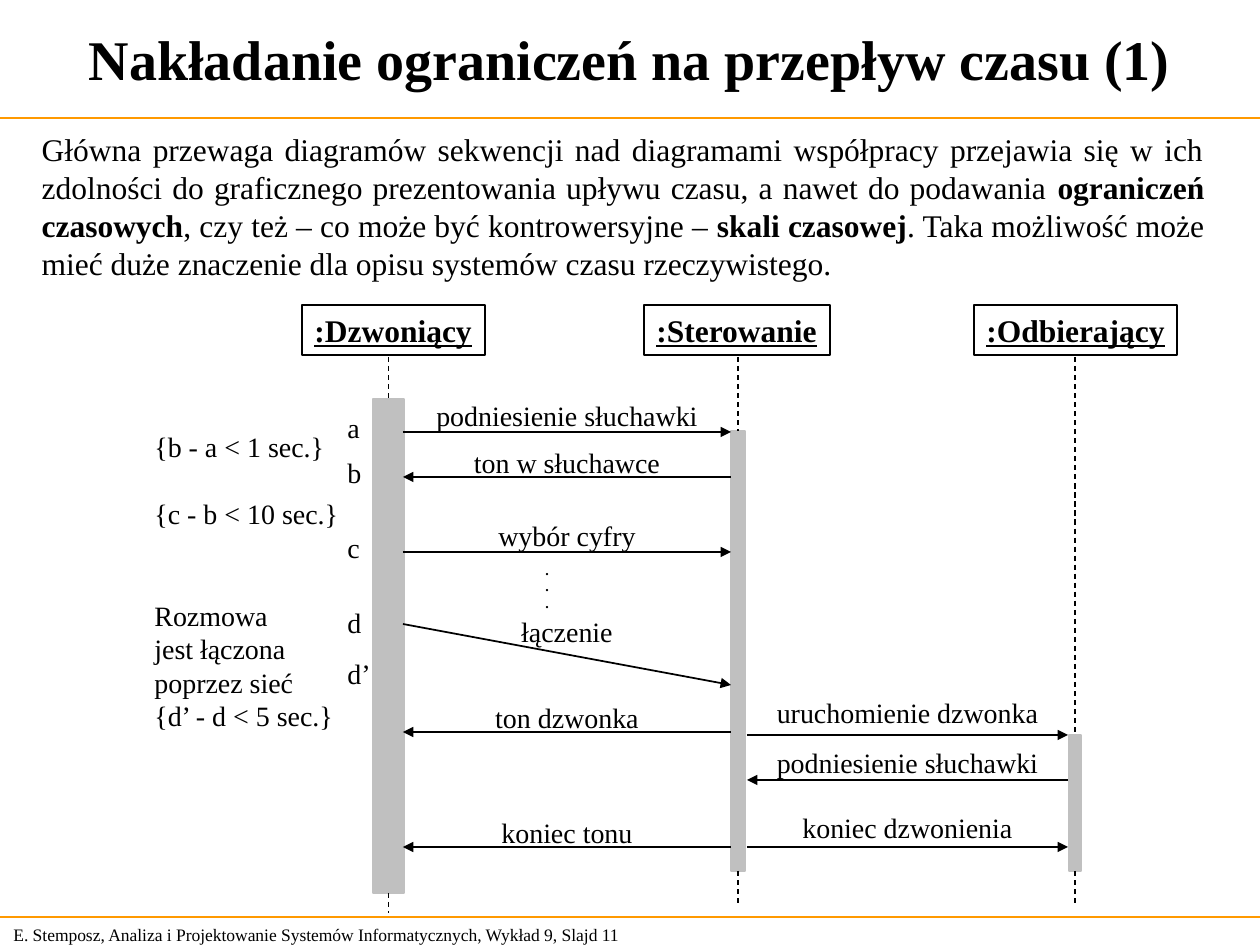
from lxml import etree
from pptx import Presentation
from pptx.dml.color import RGBColor
from pptx.enum.dml import MSO_LINE
from pptx.enum.shapes import MSO_CONNECTOR, MSO_SHAPE
from pptx.enum.text import MSO_ANCHOR, MSO_AUTO_SIZE, PP_ALIGN
from pptx.oxml.ns import qn
from pptx.util import Emu, Pt

STRAIGHT, RECTANGLE, DASH = MSO_CONNECTOR.STRAIGHT, MSO_SHAPE.RECTANGLE, MSO_LINE.DASH
LEFT, CENTER, JUSTIFY = PP_ALIGN.LEFT, PP_ALIGN.CENTER, PP_ALIGN.JUSTIFY
TOP, MIDDLE = MSO_ANCHOR.TOP, MSO_ANCHOR.MIDDLE
FONT = "Times New Roman"
COLORS = {"ink": "000000", "bar": "C0C0C0", "rule": "FF9900"}
EMU_PER_PX = 914400 / 126
PAGE_WIDTH, PAGE_HEIGHT = 1260, 945
LINE_HEIGHT = 47

TITLE = "Nakładanie ograniczeń na przepływ czasu (1)"
# (text, bold)
INTRO = [
    ("Główna przewaga diagramów sekwencji nad diagramami współpracy przejawia się w ich "
     "zdolności do graficznego prezentowania upływu czasu, a nawet do podawania ", False),
    ("ograniczeń czasowych", True),
    (", czy też – co może być kontrowersyjne – ", False),
    ("skali czasowej", True),
    (". Taka możliwość może mieć duże znaczenie dla opisu systemów czasu rzeczywistego.", False),
]
FOOTER = "E. Stemposz, Analiza i Projektowanie Systemów Informatycznych, Wykład 9, Slajd 11"
RULES = [118, 917]

HEADER_TOP, HEADER_HEIGHT = 305, 50
# name, header left and width, bar left, top, width and height, end of lifeline
PARTICIPANTS = [
    (":Dzwoniący", 302, 183, 373, 399, 31, 494, 913),
    (":Sterowanie", 644, 186, 731, 431, 14, 440, 903),
    (":Odbierający", 974, 203, 1069, 735, 12, 136, 903),
]
CALLER, CONTROL = 403, 731
CONTROL_RIGHT, RECEIVER = 747, 1068
# text, text top, start x, end x, start y, end y
MESSAGES = [
    ("podniesienie słuchawki", 392, CALLER, CONTROL, 432, 432),
    ("ton w słuchawce", 439, CONTROL, CALLER, 477, 477),
    ("wybór cyfry", 512, CALLER, CONTROL, 552, 552),
    ("łączenie", 608, CALLER, CONTROL, 624, 685),
    ("ton dzwonka", 694, CONTROL, CALLER, 732, 732),
    ("uruchomienie dzwonka", 689, CONTROL_RIGHT, RECEIVER, 735, 735),
    ("podniesienie słuchawki", 739, RECEIVER, CONTROL_RIGHT, 780, 780),
    ("koniec tonu", 809, CONTROL, CALLER, 847, 847),
    ("koniec dzwonienia", 804, CONTROL_RIGHT, RECEIVER, 847, 847),
]
MOMENTS = [("a", 404), ("b", 449), ("c", 524), ("d", 599), ("d’", 650)]
CONSTRAINTS = [
    (["{b - a < 1 sec.}"], 423),
    (["{c - b < 10 sec.}"], 490),
    (["Rozmowa", "jest łączona", "poprzez sieć", "{d’ - d < 5 sec.}"], 592),
]


def px(value):
    return Emu(round(value * EMU_PER_PX))


def color(name):
    return RGBColor.from_string(COLORS[name])


def place(shape, left, top, width, height):
    shape.left, shape.top, shape.width, shape.height = map(px, (left, top, width, height))


def style(paragraph, size, bold=False, align=LEFT):
    paragraph.alignment = align
    paragraph.space_before = Pt(0)
    font = paragraph.font
    font.name, font.size, font.bold = FONT, Pt(size), bold
    font.color.rgb = color("ink")


def write(shape, lines, size, bold=False, align=LEFT, anchor=TOP, wrap=False):
    frame = shape.text_frame
    frame.auto_size = MSO_AUTO_SIZE.NONE
    frame.word_wrap, frame.vertical_anchor = wrap, anchor
    for index, line in enumerate(lines):
        paragraph = frame.add_paragraph() if index else frame.paragraphs[0]
        paragraph.text = line
        style(paragraph, size, bold, align)


def add_text(page, area, lines, size, **options):
    box = page.shapes.add_textbox(*map(px, area))
    write(box, lines, size, **options)


def add_line(page, start, end, name="ink", width=0.75, dashed=False, arrow=False):
    line = page.shapes.add_connector(STRAIGHT, *map(px, start + end))
    line.line.color.rgb, line.line.width = color(name), Pt(width)
    if dashed:
        line.line.dash_style = DASH
    if arrow:
        etree.SubElement(line.line._get_or_add_ln(), qn("a:tailEnd"), type="triangle")
    etree.SubElement(line._element.spPr, qn("a:effectLst"))


def add_rectangle(page, area, line, fill=None):
    shape = page.shapes.add_shape(RECTANGLE, *map(px, area))
    shape.shadow.inherit = False
    shape.line.color.rgb, shape.line.width = color(line), Pt(1)
    if fill:
        shape.fill.solid()
        shape.fill.fore_color.rgb = color(fill)
    else:
        shape.fill.background()
    return shape


def add_participant(page, name, left, width, bar_left, bar_top, bar_width, bar_height, end):
    header = add_rectangle(page, (left, HEADER_TOP, width, HEADER_HEIGHT), "ink")
    write(header, [name], 18, bold=True)
    header.text_frame.paragraphs[0].font.underline = True
    add_rectangle(page, (bar_left, bar_top, bar_width, bar_height), "bar", "bar")
    axis = bar_left + bar_width / 2
    add_line(page, (axis, HEADER_TOP + HEADER_HEIGHT + 2), (axis, bar_top), dashed=True)
    add_line(page, (axis, bar_top + bar_height), (axis, end), dashed=True)


def add_intro(body):
    place(body, 29, 124, 1188, 164)
    write(body, [""], 18, align=JUSTIFY, wrap=True)
    paragraph = body.text_frame.paragraphs[0]
    properties = paragraph._p.get_or_add_pPr()
    properties.set("marL", "0")
    properties.set("indent", "0")
    properties.insert_element_before(
        etree.Element(qn("a:buNone")), "a:tabLst", "a:defRPr", "a:extLst")
    for text, bold in INTRO:
        span = paragraph.add_run()
        span.text, span.font.bold = text, bold


def main():
    deck = Presentation()
    deck.slide_width, deck.slide_height = px(PAGE_WIDTH), px(PAGE_HEIGHT)
    page = deck.slides.add_slide(deck.slide_layouts[1])
    title, body = page.placeholders
    place(title, 5, 5, 1250, 107)
    write(title, [TITLE], 32, bold=True, align=CENTER, anchor=MIDDLE, wrap=True)
    add_intro(body)
    for y in RULES:
        add_line(page, (0, y), (PAGE_WIDTH, y), "rule")
    add_text(page, (1, 917, 660, 34), [FOOTER], 10, anchor=MIDDLE)

    for participant in PARTICIPANTS:
        add_participant(page, *participant)
    for text, top, x1, x2, y1, y2 in MESSAGES:
        add_line(page, (x1, y1), (x2, y2), width=1, arrow=True)
        width = 290
        left = (x1 + x2 - width) / 2
        add_text(page, (left, top, width, LINE_HEIGHT), [text], 16, align=CENTER)
    add_text(page, (533, 555, 29, 63), ["."] * 3, 8, bold=True)
    for moment, top in MOMENTS:
        add_text(page, (335, top, 48, LINE_HEIGHT), [moment], 16)
    for lines, top in CONSTRAINTS:
        add_text(page, (142, top, 209, 13 + 34 * len(lines)), lines, 16)
    deck.save("out.pptx")


if __name__ == "__main__":
    main()
